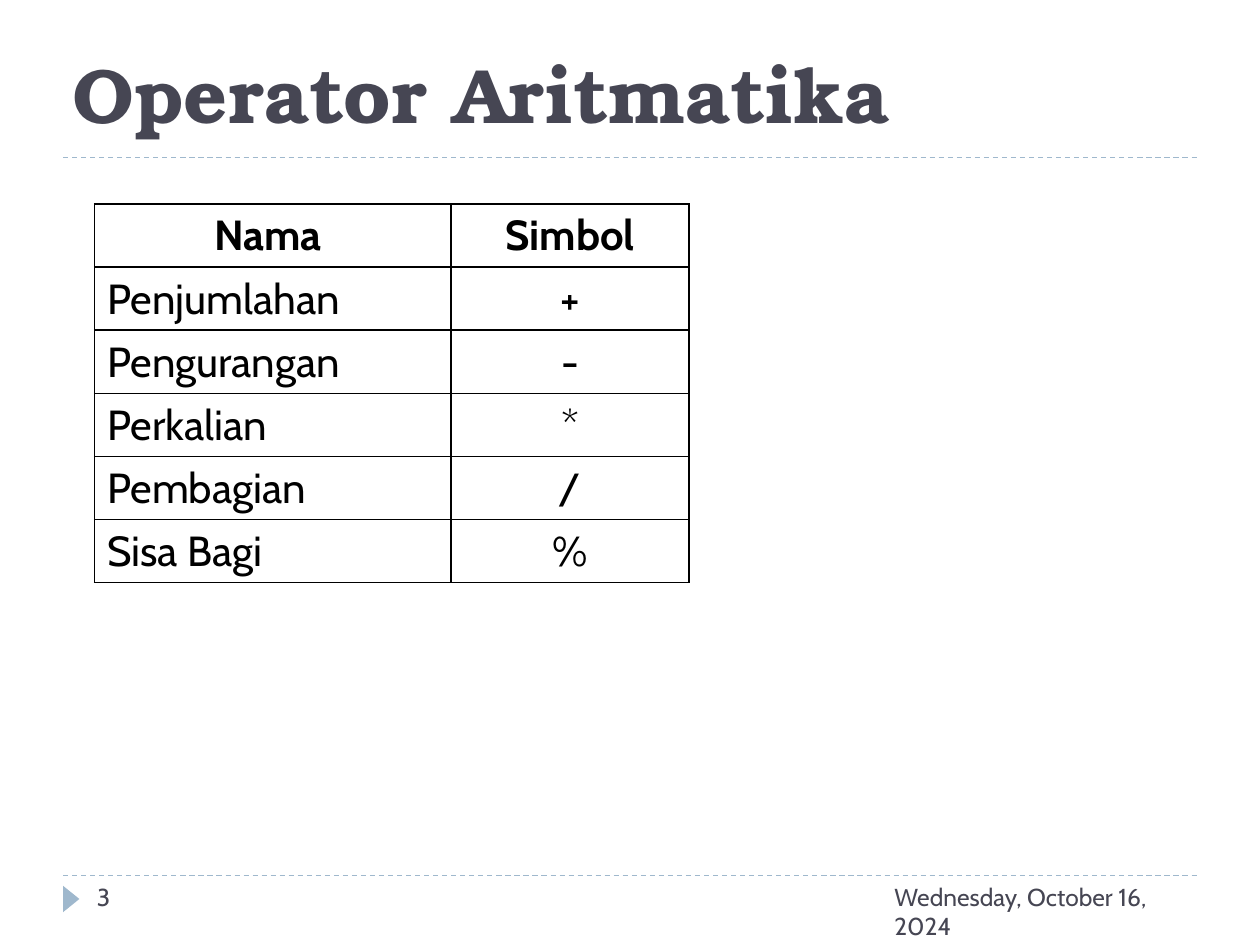
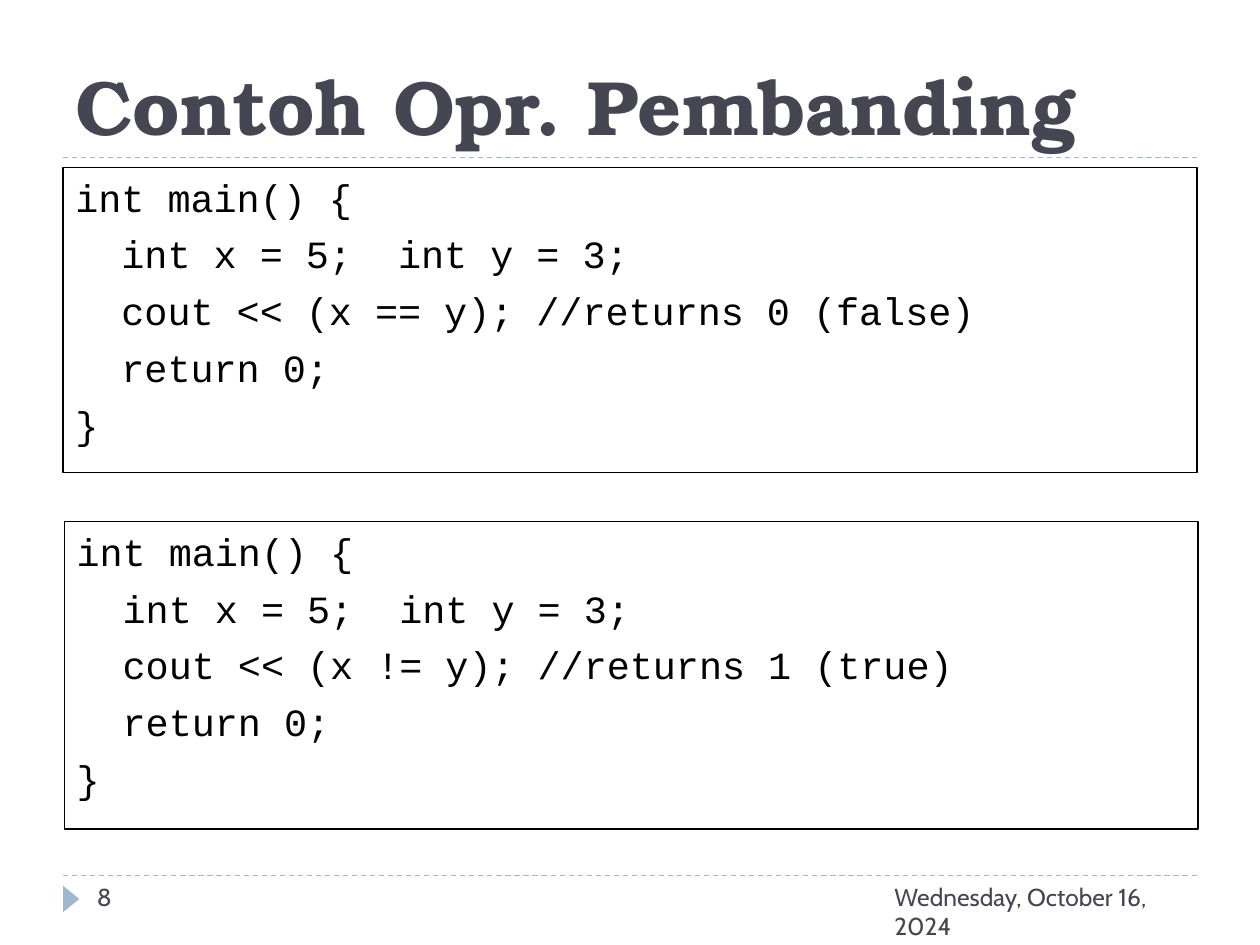
import pptx
import pptx.util
import pptx.dml.color
import pptx.enum.dml
import pptx.enum.shapes
import pptx.enum.text
import pptx.oxml.ns
from lxml import etree

Inches, Pt = pptx.util.Inches, pptx.util.Pt
RGBColor = pptx.dml.color.RGBColor
PP_ALIGN = pptx.enum.text.PP_ALIGN
ANCHOR = pptx.enum.text.MSO_ANCHOR
SHAPE = pptx.enum.shapes.MSO_SHAPE
qn = pptx.oxml.ns.qn

INK = RGBColor(0x46, 0x46, 0x53)
ACCENT = RGBColor(0x9F, 0xB8, 0xCD)
BLACK = RGBColor(0, 0, 0)
TITLE_FONT, BODY_FONT, CODE_FONT = "TeX Gyre Bonum", "Cabin", "Courier New"
DATE = "Wednesday, October 16, 2024"

OPERATORS = [
    ("Nama ", "Simbol"),
    ("Penjumlahan", "+"),
    ("Pengurangan", "-"),
    ("Perkalian", "*"),
    ("Pembagian", "/"),
    ("Sisa Bagi", "%"),
]


def add_run(paragraph, text, font, size, color, bold=False):
    run = paragraph.add_run()
    run.text = text
    run.font.name = font
    run.font.size = Pt(size)
    run.font.color.rgb = color
    run.font.bold = bold


def add_label(slide, box, text, font, size, bold=False, anchor=ANCHOR.TOP):
    label = slide.shapes.add_textbox(*map(Inches, box))
    frame = label.text_frame
    frame.word_wrap = True
    frame.vertical_anchor = anchor
    add_run(frame.paragraphs[0], text, font, size, INK, bold)


def add_rule(slide, y):
    rule = slide.shapes.add_connector(
        pptx.enum.shapes.MSO_CONNECTOR.STRAIGHT,
        Inches(0.5), Inches(y), Inches(9.5), Inches(y))
    rule.line.color.rgb = ACCENT
    rule.line.width = Pt(0.75)
    rule.line.dash_style = pptx.enum.dml.MSO_LINE.DASH
    etree.SubElement(rule._element.spPr, qn("a:effectLst"))


def add_footer(slide, number, top=6.95):
    add_rule(slide, top)
    marker = slide.shapes.add_shape(
        SHAPE.ISOSCELES_TRIANGLE,
        Inches(0.46), Inches(top + 0.12), Inches(0.21), Inches(0.13))
    marker.rotation = 90
    marker.shadow.inherit = False
    marker.fill.solid()
    marker.fill.fore_color.rgb = ACCENT
    marker.line.fill.background()
    add_label(slide, (7, top, 2.5, 0.4), DATE, BODY_FONT, 14)
    add_label(slide, (0.67, top, 2.17, 0.4), str(number), BODY_FONT, 14)


def add_base_slide(deck, title, title_box, number):
    slide = deck.slides.add_slide(deck.slide_layouts[6])
    add_rule(slide, 1.25)
    add_footer(slide, number)
    add_label(slide, title_box, title, TITLE_FONT, 44, True, ANCHOR.BOTTOM)
    return slide


def outline_cell(cell):
    properties = cell._tc.get_or_add_tcPr()
    for position, side in enumerate(("a:lnL", "a:lnR", "a:lnT", "a:lnB")):
        border = etree.Element(qn(side), w=str(Pt(1)))
        fill = etree.SubElement(border, qn("a:solidFill"))
        etree.SubElement(fill, qn("a:srgbClr"), val=str(BLACK))
        properties.insert(position, border)


def add_operator_table(slide, left, top, column_widths, row_height):
    table = slide.shapes.add_table(
        len(OPERATORS), len(column_widths), Inches(left), Inches(top),
        Inches(sum(column_widths)), Inches(row_height * len(OPERATORS))).table
    for column, width in zip(table.columns, column_widths):
        column.width = Inches(width)
    for r, operator in enumerate(OPERATORS):
        for c, text in enumerate(operator):
            cell = table.cell(r, c)
            cell.fill.background()
            outline_cell(cell)
            paragraph = cell.text_frame.paragraphs[0]
            if r == 0 or c == 1:
                paragraph.alignment = PP_ALIGN.CENTER
            add_run(paragraph, text, BODY_FONT, 24, BLACK, bold=r == 0)


def add_code_box(slide, box, comparison, result, line_width):
    code = [
        "int main() {",
        "  int x = 5;  int y = 3;",
        f"  cout << ({comparison}); //returns {result}",
        "  return 0;",
        "}",
    ]
    panel = slide.shapes.add_shape(SHAPE.RECTANGLE, *map(Inches, box))
    panel.shadow.inherit = False
    panel.fill.background()
    panel.line.color.rgb = BLACK
    panel.line.width = Pt(line_width)
    frame = panel.text_frame
    frame.word_wrap = True
    frame.vertical_anchor = ANCHOR.TOP
    for i, line in enumerate(code):
        paragraph = frame.add_paragraph() if i else frame.paragraphs[0]
        paragraph.alignment = PP_ALIGN.LEFT
        paragraph.space_before = Pt(6)
        add_run(paragraph, line, CODE_FONT, 22, BLACK)


def build_arithmetic_slide(deck):
    slide = add_base_slide(deck, "Operator Aritmatika", (0.48, 0.21, 8.53, 0.94), 3)
    add_operator_table(slide, 0.75, 1.62, (2.83, 1.89), 0.5)


def build_comparison_slide(deck):
    slide = add_base_slide(deck, "Contoh Opr. Pembanding", (0.5, 0.17, 9, 1.08), 8)
    add_code_box(slide, (0.5, 1.33, 9, 2.42), "x == y", "0 (false)", 1)
    add_code_box(slide, (0.51, 4.14, 9, 2.44), "x != y", "1 (true)", 0.75)


def main():
    deck = pptx.Presentation()
    deck.slide_width, deck.slide_height = Inches(10), Inches(7.5)
    build_arithmetic_slide(deck)
    build_comparison_slide(deck)
    deck.save("out.pptx")


if __name__ == "__main__":
    main()
